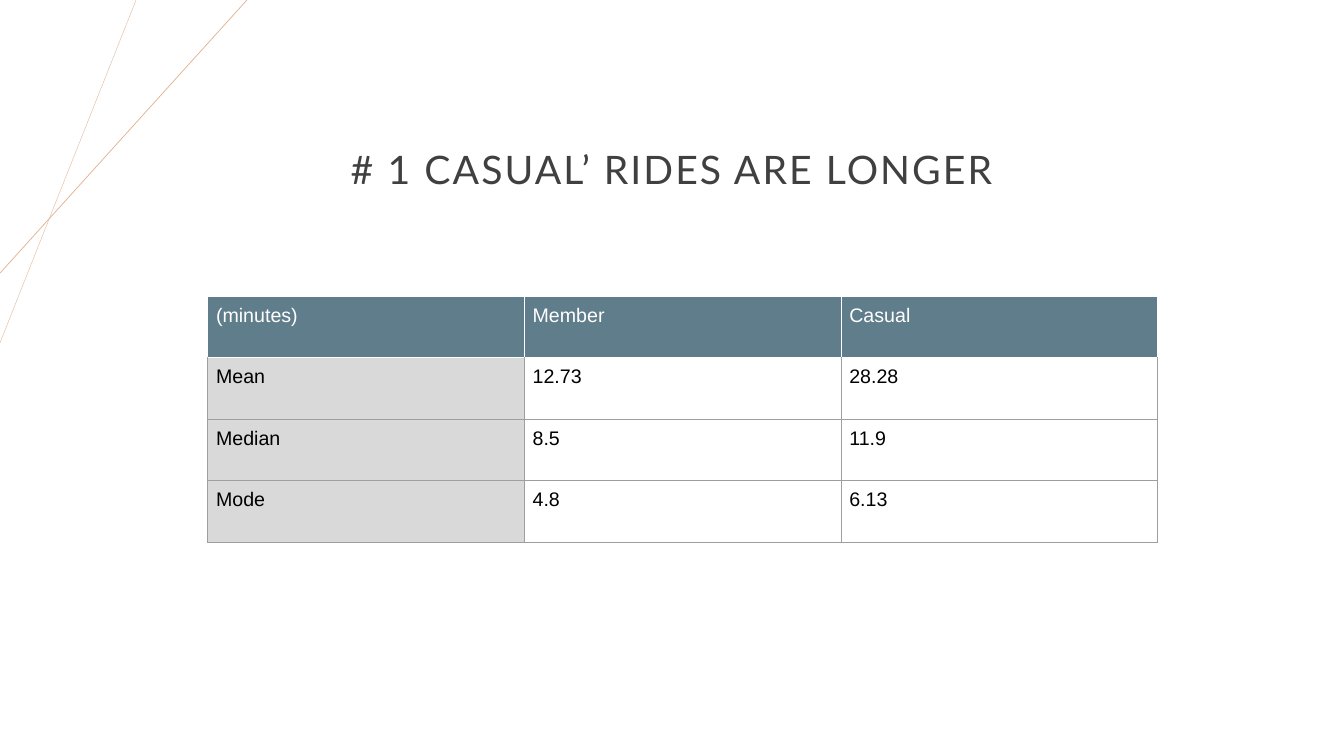
from dataclasses import dataclass
from typing import NamedTuple

from pptx import Presentation
from pptx.dml.color import RGBColor as RGB
from pptx.enum.shapes import MSO_CONNECTOR as CONN
from pptx.enum.text import MSO_ANCHOR as ANCHOR, PP_ALIGN as ALIGN
from pptx.oxml.ns import qn
from pptx.slide import Slide
from pptx.table import _Cell as Cell
from pptx.util import Pt
from lxml.etree import SubElement


@dataclass(frozen=True)
class Theme:
    accent: str = "E2B18D"
    title: str = "404040"
    header: str = "607D8B"
    label: str = "D9D9D9"
    grid: str = "9E9E9E"
    white: str = "FFFFFF"
    black: str = "000000"
    title_font: str = "Lato"
    table_font: str = "Arial"
    title_size: float = 28
    table_size: float = 14
    border: float = 0.6


class Ray(NamedTuple):
    """Line from the top edge of the slide to its left edge."""
    top_x: float
    left_y: float
    width: float


THEME = Theme()
RAYS = (Ray(97.2, 244.8, 0.25), Ray(176.4, 195.1, 0.5))
TITLE = "# 1 CASUAL’ RIDES ARE LONGER"
RIDE_MINUTES = (
    ("(minutes)", "Member", "Casual"),
    ("Mean", "12.73", "28.28"),
    ("Median", "8.5", "11.9"),
    ("Mode", "4.8", "6.13"),
)
COL_WIDTH, ROW_HEIGHT, CELL_INSET = 226.2, 43.9, 6


def add_ray(slide: Slide, ray: Ray) -> None:
    c = slide.shapes.add_connector(
        CONN.STRAIGHT, Pt(ray.top_x), Pt(0), Pt(0), Pt(ray.left_y))
    c.line.color.rgb = RGB.from_string(THEME.accent)
    c.line.width = Pt(ray.width)
    SubElement(c._element.spPr, qn("a:effectLst"))


def add_title(slide: Slide) -> None:
    tf = slide.shapes.add_textbox(Pt(148.3), Pt(70.6), Pt(663.1), Pt(104.4)).text_frame
    tf.word_wrap = True
    tf.vertical_anchor = ANCHOR.MIDDLE
    tf.text = TITLE
    p = tf.paragraphs[0]
    p.alignment = ALIGN.CENTER
    p.line_spacing = 0.9
    r = p.runs[0]
    r.font.name = THEME.title_font
    r.font.size = Pt(THEME.title_size)
    r.font.color.rgb = RGB.from_string(THEME.title)
    r._r.get_or_add_rPr().set("spc", "150")


def set_borders(cell: Cell, color: str, top_color: str) -> None:
    tc_pr = cell._tc.get_or_add_tcPr()
    for side in "LRTB":
        ln = SubElement(tc_pr, qn(f"a:ln{side}"), w=str(Pt(THEME.border)))
        fill = SubElement(ln, qn("a:solidFill"))
        SubElement(fill, qn("a:srgbClr"), val=top_color if side == "T" else color)


def style_cell(cell: Cell, row: int, col: int) -> None:
    is_header = row == 0
    cell.margin_left = cell.margin_right = Pt(CELL_INSET)
    cell.margin_top = cell.margin_bottom = Pt(CELL_INSET)
    set_borders(cell, THEME.white if is_header else THEME.grid,
                THEME.white if row <= 1 else THEME.grid)
    if is_header or col == 0:
        cell.fill.solid()
        cell.fill.fore_color.rgb = RGB.from_string(
            THEME.header if is_header else THEME.label)
    else:
        cell.fill.background()
    font = cell.text_frame.paragraphs[0].runs[0].font
    font.name = THEME.table_font
    font.size = Pt(THEME.table_size)
    font.bold = False
    font.color.rgb = RGB.from_string(THEME.white if is_header else THEME.black)


def add_ride_table(slide: Slide) -> None:
    rows, cols = len(RIDE_MINUTES), len(RIDE_MINUTES[0])
    table = slide.shapes.add_table(
        rows, cols, Pt(148.3), Pt(211.7),
        Pt(COL_WIDTH * cols), Pt(ROW_HEIGHT * rows)).table
    table.first_row = table.horz_banding = False
    for column in table.columns:
        column.width = Pt(COL_WIDTH)
    for row in table.rows:
        row.height = Pt(ROW_HEIGHT)
    for i, values in enumerate(RIDE_MINUTES):
        for j, value in enumerate(values):
            cell = table.cell(i, j)
            cell.text_frame.text = value
            style_cell(cell, i, j)


def main() -> None:
    prs = Presentation()
    prs.slide_width, prs.slide_height = Pt(960), Pt(540)
    slide = prs.slides.add_slide(prs.slide_layouts[6])
    for ray in RAYS:
        add_ray(slide, ray)
    add_title(slide)
    add_ride_table(slide)
    prs.save("out.pptx")


if __name__ == "__main__":
    main()
